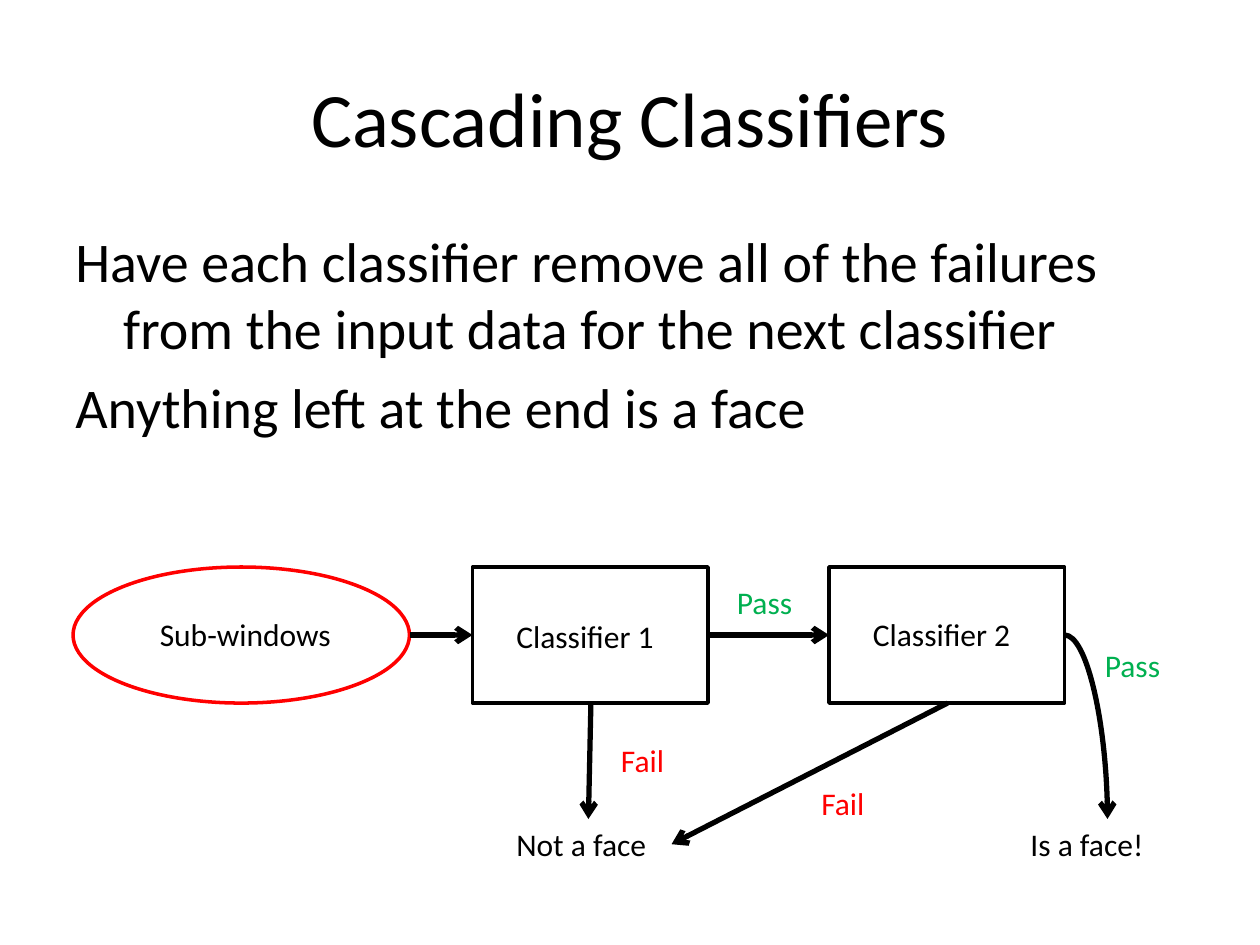
from lxml import etree
from pptx import Presentation
from pptx.dml.color import RGBColor
from pptx.enum import shapes, text
from pptx.oxml import ns
from pptx.util import Inches, Pt

BLACK, WHITE, RED, GREEN = "000000", "FFFFFF", "FF0000", "00B050"
ROW_TOP, ROW_HEIGHT, FLOW_Y, BOX_BOTTOM = 4.5, 1.08, 5.04, 5.58


def color(value):
    return RGBColor.from_string(value)


def add_text(slide, box, lines, size=18, font_color=BLACK):
    shape = slide.shapes.add_textbox(*map(Inches, box))
    frame = shape.text_frame
    frame.word_wrap = True
    frame.text = "\n".join(lines)
    for paragraph in frame.paragraphs:
        for run in paragraph.runs:
            run.font.name = "Calibri"
            run.font.size = Pt(size)
            run.font.color.rgb = color(font_color)
    return frame


def add_title(slide, title):
    frame = add_text(slide, (0.5, 0.3, 9, 1.25), [title], 44)
    frame.vertical_anchor = text.MSO_ANCHOR.MIDDLE
    frame.paragraphs[0].alignment = text.PP_ALIGN.CENTER


def add_body(slide, lines):
    frame = add_text(slide, (0.5, 1.75, 9, 4.95), lines, 32)
    for paragraph in frame.paragraphs:
        paragraph.space_before = Pt(6.4)
        properties = paragraph._p.get_or_add_pPr()
        properties.set("marL", str(Inches(0.38)))
        properties.set("indent", str(Inches(-0.38)))


def add_stage(slide, kind, left, width, line_color):
    box = (left, ROW_TOP, width, ROW_HEIGHT)
    shape = slide.shapes.add_shape(kind, *map(Inches, box))
    shape.shadow.inherit = False
    shape.fill.solid()
    shape.fill.fore_color.rgb = color(WHITE)
    shape.line.color.rgb = color(line_color)
    shape.line.width = Pt(2)


def add_arrow(slide, start, end, curved=False):
    kind = shapes.MSO_CONNECTOR.CURVE if curved else shapes.MSO_CONNECTOR.STRAIGHT
    connector = slide.shapes.add_connector(kind, *map(Inches, start + end))
    connector.line.color.rgb = color(BLACK)
    connector.line.width = Pt(3)
    properties = connector._element.spPr
    if curved:
        properties.find(ns.qn("a:prstGeom")).set("prst", "curvedConnector2")
    line = properties.find(ns.qn("a:ln"))
    etree.SubElement(line, ns.qn("a:tailEnd"), type="arrow")
    etree.SubElement(properties, ns.qn("a:effectLst"))


def main():
    presentation = Presentation()
    presentation.slide_width = Inches(10)
    presentation.slide_height = Inches(7.5)
    slide = presentation.slides.add_slide(presentation.slide_layouts[6])

    add_title(slide, "Cascading Classifiers")
    add_body(slide, [
        "Have each classifier remove all of the failures from the input data for the next classifier",
        "Anything left at the end is a face",
    ])

    add_stage(slide, shapes.MSO_SHAPE.OVAL, 0.58, 2.67, RED)
    for left in (3.75, 6.58):
        add_stage(slide, shapes.MSO_SHAPE.RECTANGLE, left, 1.87, BLACK)

    for start, end in (
        ((3.25, FLOW_Y), (3.75, FLOW_Y)),
        ((5.62, FLOW_Y), (6.58, FLOW_Y)),
        ((4.69, BOX_BOTTOM), (4.67, 6.5)),
        ((7.52, BOX_BOTTOM), (5.33, 6.7)),
    ):
        add_arrow(slide, start, end)
    add_arrow(slide, (8.45, FLOW_Y), (8.79, 6.5), curved=True)

    for label, left, top, width, font_color in (
        ("Sub-windows", 1.17, 4.83, 1.83, BLACK),
        ("Classifier 1", 4, 4.85, 1.5, BLACK),
        ("Classifier 2", 6.83, 4.83, 1.5, BLACK),
        ("Not a face", 4, 6.5, 1.33, BLACK),
        ("Is a face!", 8.08, 6.5, 1.42, BLACK),
        ("Fail", 4.83, 5.83, 0.58, RED),
        ("Fail", 6.42, 6.17, 0.58, RED),
        ("Pass", 5.75, 4.58, 0.75, GREEN),
        ("Pass", 8.67, 5.08, 0.75, GREEN),
    ):
        add_text(slide, (left, top, width, 0.4), [label], font_color=font_color)

    presentation.save("out.pptx")


main()
